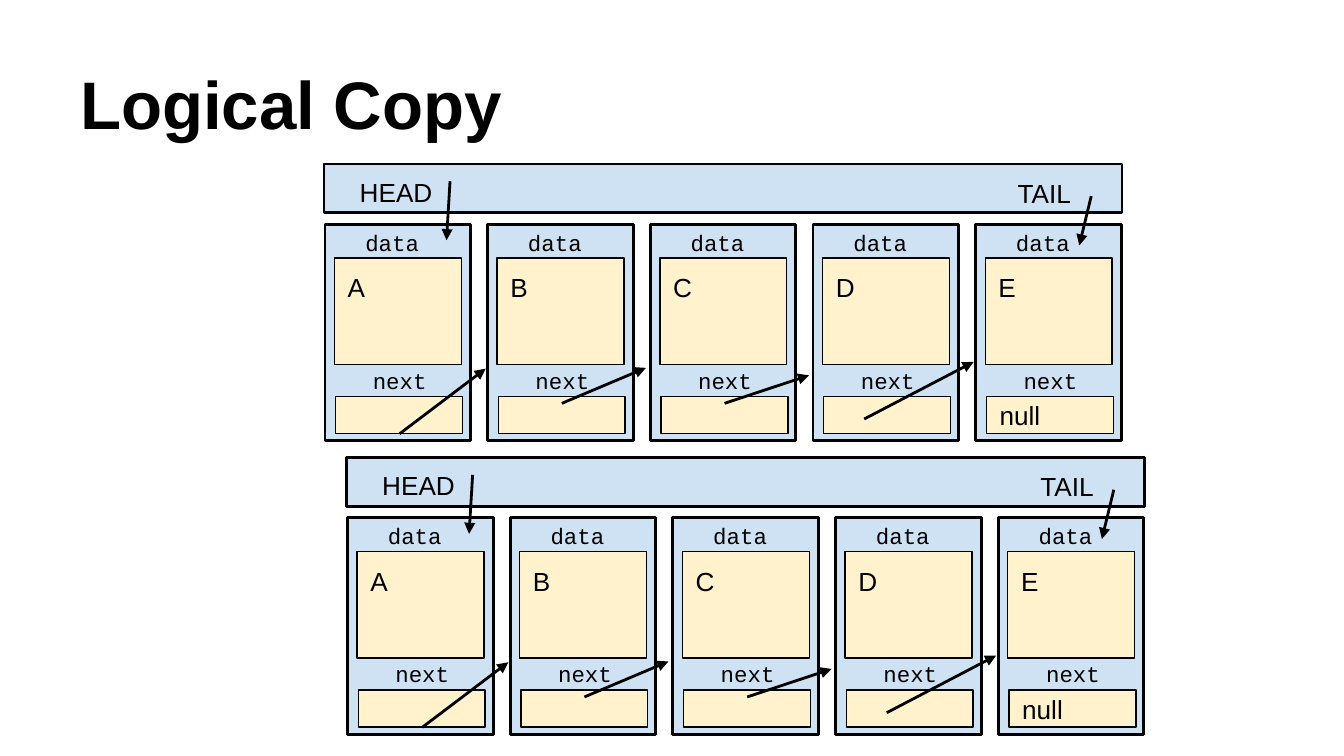
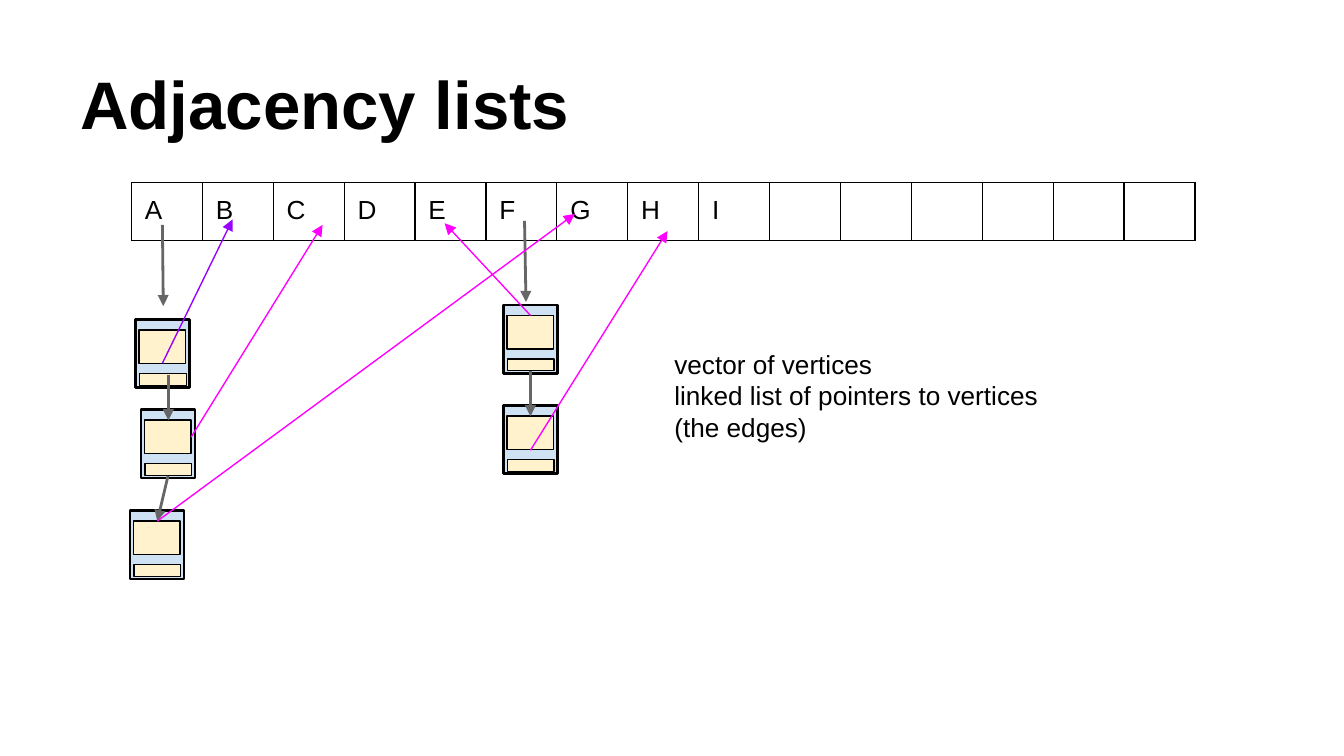
from dataclasses import dataclass

from lxml import etree
from pptx import Presentation
from pptx.dml.color import RGBColor
from pptx.enum.shapes import MSO_CONNECTOR, MSO_SHAPE
from pptx.enum.text import MSO_ANCHOR, PP_ALIGN
from pptx.oxml.ns import qn
from pptx.shapes.shapetree import GroupShapes, SlideShapes
from pptx.slide import Slide
from pptx.table import _Cell
from pptx.text.text import TextFrame
from pptx.util import Pt

STRAIGHT = MSO_CONNECTOR.STRAIGHT
RECTANGLE = MSO_SHAPE.RECTANGLE
TOP, MIDDLE, BOTTOM = MSO_ANCHOR.TOP, MSO_ANCHOR.MIDDLE, MSO_ANCHOR.BOTTOM
LEFT, CENTER = PP_ALIGN.LEFT, PP_ALIGN.CENTER

BLACK = RGBColor(0x00, 0x00, 0x00)
GRAY = RGBColor(0x66, 0x66, 0x66)
BLUE = RGBColor(0xCF, 0xE2, 0xF3)
CREAM = RGBColor(0xFF, 0xF2, 0xCC)
PURPLE = RGBColor(0x99, 0x00, 0xFF)
MAGENTA = RGBColor(0xFF, 0x00, 0xFF)

SANS = "Arial"
MONO = "Courier New"
INSET = Pt(7.2)
THIN = 0.75
THICK = 1.5

Shapes = SlideShapes | GroupShapes


@dataclass(frozen=True)
class Box:
    left: float
    top: float
    width: float
    height: float

    def moved(self, x: float, y: float) -> "Box":
        return Box(self.left + x, self.top + y, self.width, self.height)

    def lengths(self) -> tuple[Pt, Pt, Pt, Pt]:
        return Pt(self.left), Pt(self.top), Pt(self.width), Pt(self.height)


@dataclass(frozen=True)
class TextStyle:
    size: float = 14
    font: str = SANS
    bold: bool = False
    align: PP_ALIGN = LEFT
    anchor: MSO_ANCHOR = TOP


@dataclass(frozen=True)
class Arrow:
    x1: float
    y1: float
    x2: float
    y2: float
    color: RGBColor = BLACK
    weight: float = THICK

    def moved(self, x: float, y: float) -> "Arrow":
        return Arrow(self.x1 + x, self.y1 + y, self.x2 + x, self.y2 + y, self.color, self.weight)


@dataclass(frozen=True)
class NodeLayout:
    frame: Box
    next_box: Box
    data_box: Box


BODY = TextStyle()
NULL = TextStyle(anchor=MIDDLE)
TITLE = TextStyle(size=36, bold=True, anchor=BOTTOM)
DATA_LABEL = TextStyle(size=12, font=MONO)
NEXT_LABEL = TextStyle(size=12, font=MONO, align=CENTER)

TITLE_BOX = Box(36, 16.5, 648, 67.5)

LARGE_NODE = NodeLayout(Box(0, 0, 78, 116), Box(5.7, 92.2, 68, 20), Box(5.1, 18.2, 68, 57))
SMALL_NODE = NodeLayout(Box(0, 0, 29, 36.6), Box(2.2, 28.9, 25, 6.4), Box(1.9, 5.6, 25, 18))
NEXT_LABEL_BOX = Box(14.5, 69.3, 51, 27)
DATA_LABEL_BOX = Box(14.5, -4.8, 51, 27)

LIST_ORIGINS = [(173.6, 87.9), (185.7, 245.2)]
LIST_VALUES = "ABCDE"
LIST_BAR = Box(0, 0, 427.5, 26)
HEAD_BOX = Box(12, -0.7, 55.5, 19.5)
TAIL_BOX = Box(364.5, -0.2, 59, 19.5)
NODE_LEFT, NODE_TOP, NODE_STEP = 0.5, 32.2, 87.15
NEXT_ARROWS = [
    Arrow(40.5, 144.5, 86.6, 109.6),
    Arrow(127.4, 128.2, 172.4, 109.2),
    Arrow(214.6, 128.2, 259.8, 113.2),
    Arrow(289.4, 136.6, 348, 106),
]
END_ARROWS = [Arrow(67.5, 9.2, 65.6, 40.8), Arrow(411, 17.2, 404.6, 43.6)]

VERTEX_BOX = Box(70.4, 97.7, 570, 30.4)
VERTICES = "ABCDEFGHI"
VERTEX_COLUMNS = 15
EDGE_NODES = [(72.6, 171.2), (75.5, 219.5), (69.6, 273.6), (269.7, 163.4), (269.7, 217.3)]
CHAIN_ARROWS = [
    Arrow(87, 120.5, 87.5, 164, GRAY),
    Arrow(90.2, 200.8, 90.2, 225.2, GRAY),
    Arrow(90, 255, 84.3, 279.2, GRAY),
    Arrow(281, 118.4, 281.8, 161.8, GRAY),
    Arrow(284.2, 198.8, 284.2, 223, GRAY),
]
EDGE_ARROWS = [
    Arrow(87, 194.6, 124.6, 117.6, PURPLE, THIN),
    Arrow(102.4, 234.2, 172.8, 120.5, MAGENTA, THIN),
    Arrow(84.3, 279.2, 308, 114.6, MAGENTA, THIN),
    Arrow(284.2, 169, 238.2, 119.6, MAGENTA, THIN),
    Arrow(284.2, 241.2, 357.6, 123.8, MAGENTA, THIN),
]
NOTE_BOX = Box(354.2, 179.5, 220.3, 148)
NOTE = "vector of vertices\nlinked list of pointers to vertices (the edges)"


def write(frame: TextFrame, text: str, style: TextStyle) -> None:
    frame.word_wrap = True
    frame.margin_left = frame.margin_right = INSET
    frame.margin_top = frame.margin_bottom = INSET
    frame.vertical_anchor = style.anchor
    frame.text = text
    for paragraph in frame.paragraphs:
        paragraph.alignment = style.align
        for run in paragraph.runs:
            run.font.name = style.font
            run.font.size = Pt(style.size)
            run.font.bold = style.bold
            run.font.color.rgb = BLACK


def add_text(shapes: Shapes, box: Box, text: str, style: TextStyle = BODY) -> None:
    write(shapes.add_textbox(*box.lengths()).text_frame, text, style)


def add_rectangle(shapes: Shapes, box: Box, fill: RGBColor, weight: float,
                  text: str = "", style: TextStyle = BODY) -> None:
    shape = shapes.add_shape(RECTANGLE, *box.lengths())
    shape.shadow.inherit = False
    shape.fill.solid()
    shape.fill.fore_color.rgb = fill
    shape.line.color.rgb = BLACK
    shape.line.width = Pt(weight)
    if text:
        write(shape.text_frame, text, style)


def add_arrow(shapes: Shapes, arrow: Arrow) -> None:
    connector = shapes.add_connector(
        STRAIGHT, Pt(arrow.x1), Pt(arrow.y1), Pt(arrow.x2), Pt(arrow.y2))
    connector.line.color.rgb = arrow.color
    connector.line.width = Pt(arrow.weight)
    properties = connector._element.spPr
    tail = etree.SubElement(properties.find(qn("a:ln")), qn("a:tailEnd"))
    tail.set("type", "triangle")
    etree.SubElement(properties, qn("a:effectLst"))


def add_node(shapes: Shapes, layout: NodeLayout, x: float, y: float,
             value: str = "", next_value: str = "") -> None:
    add_rectangle(shapes, layout.frame.moved(x, y), BLUE, THICK)
    add_rectangle(shapes, layout.next_box.moved(x, y), CREAM, THIN, next_value, NULL)
    add_rectangle(shapes, layout.data_box.moved(x, y), CREAM, THIN, value)


def add_linked_list(slide: Slide, x: float, y: float) -> None:
    shapes = slide.shapes.add_group_shape().shapes
    for index, value in enumerate(LIST_VALUES):
        left, top = x + NODE_LEFT + index * NODE_STEP, y + NODE_TOP
        next_value = "null" if index == len(LIST_VALUES) - 1 else ""
        add_node(shapes, LARGE_NODE, left, top, value, next_value)
        add_text(shapes, NEXT_LABEL_BOX.moved(left, top), "next", NEXT_LABEL)
        add_text(shapes, DATA_LABEL_BOX.moved(left, top), "data", DATA_LABEL)
    add_rectangle(shapes, LIST_BAR.moved(x, y), BLUE, THICK)
    add_text(shapes, HEAD_BOX.moved(x, y), "HEAD")
    add_text(shapes, TAIL_BOX.moved(x, y), "TAIL")
    for arrow in NEXT_ARROWS + END_ARROWS:
        add_arrow(shapes, arrow.moved(x, y))


def format_cell(cell: _Cell, text: str) -> None:
    write(cell.text_frame, text, BODY)
    cell.margin_left = cell.margin_right = INSET
    cell.margin_top = cell.margin_bottom = INSET
    if not text:
        paragraph = cell.text_frame.paragraphs[0]._p
        etree.SubElement(paragraph, qn("a:endParaRPr")).set("sz", str(BODY.size * 100))
    properties = cell._tc.get_or_add_tcPr()
    for side in ("a:lnL", "a:lnR", "a:lnT", "a:lnB"):
        border = etree.SubElement(properties, qn(side))
        border.set("w", str(Pt(THIN)))
        fill = etree.SubElement(border, qn("a:solidFill"))
        etree.SubElement(fill, qn("a:srgbClr")).set("val", str(BLACK))
    cell.fill.background()


def add_vertex_table(slide: Slide) -> None:
    table = slide.shapes.add_table(1, VERTEX_COLUMNS, *VERTEX_BOX.lengths()).table
    table.first_row = False
    table.horz_banding = False
    for column in table.columns:
        column.width = Pt(VERTEX_BOX.width / VERTEX_COLUMNS)
    for index, cell in enumerate(table.iter_cells()):
        format_cell(cell, VERTICES[index:index + 1])


def add_titled_slide(presentation: Presentation, title: str) -> Slide:
    slide = presentation.slides.add_slide(presentation.slide_layouts[6])
    add_text(slide.shapes, TITLE_BOX, title, TITLE)
    return slide


def build_logical_copy(presentation: Presentation) -> None:
    slide = add_titled_slide(presentation, "Logical Copy")
    for x, y in LIST_ORIGINS:
        add_linked_list(slide, x, y)


def build_adjacency_lists(presentation: Presentation) -> None:
    slide = add_titled_slide(presentation, "Adjacency lists")
    add_vertex_table(slide)
    for x, y in EDGE_NODES:
        add_node(slide.shapes.add_group_shape().shapes, SMALL_NODE, x, y)
    for arrow in CHAIN_ARROWS + EDGE_ARROWS:
        add_arrow(slide.shapes, arrow)
    add_text(slide.shapes, NOTE_BOX, NOTE)


def main() -> None:
    presentation = Presentation()
    presentation.slide_width = Pt(720)
    presentation.slide_height = Pt(405)
    build_logical_copy(presentation)
    build_adjacency_lists(presentation)
    presentation.save("out.pptx")


if __name__ == "__main__":
    main()
